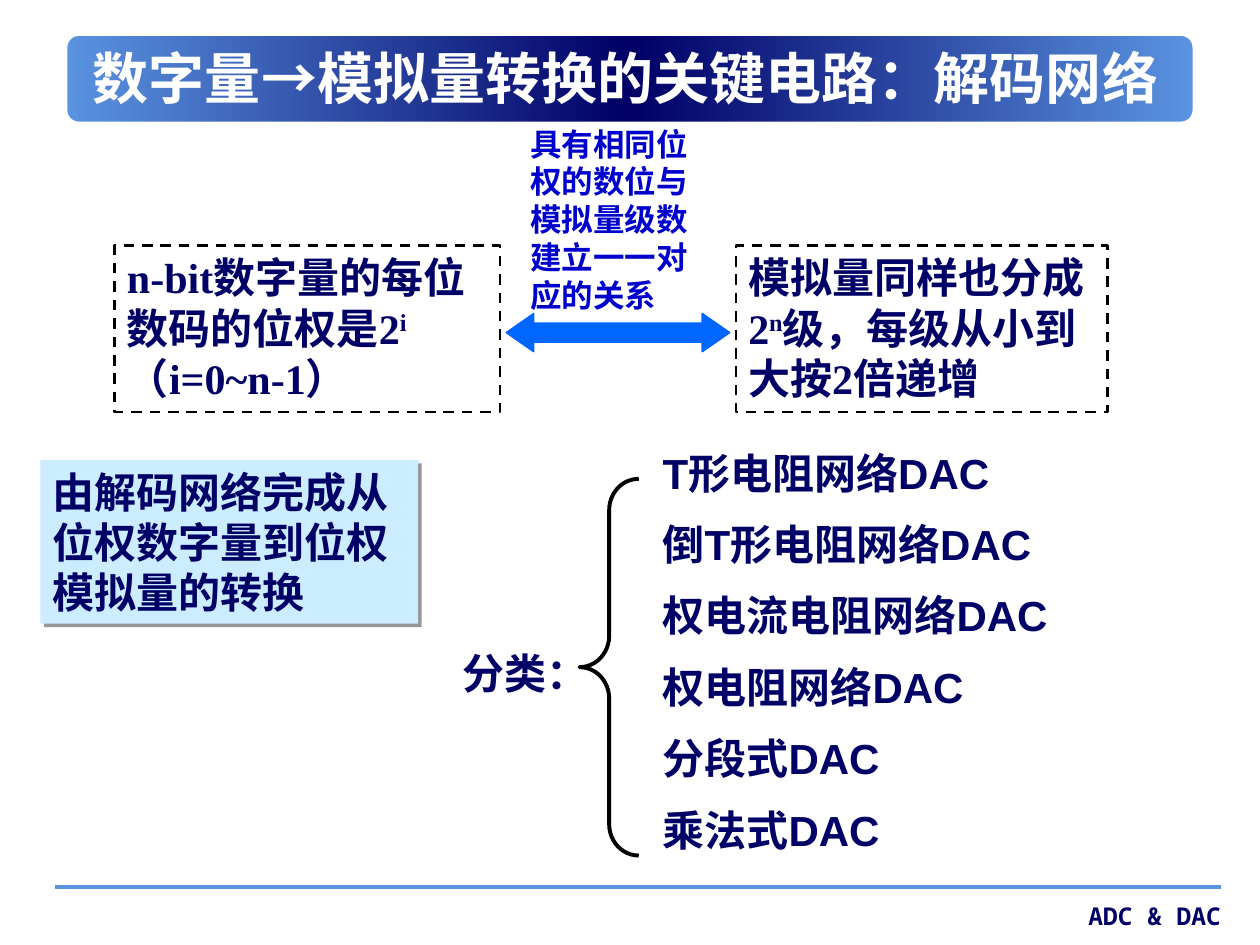
from pptx import Presentation
from pptx.dml.color import RGBColor as RGB
from pptx.enum.dml import MSO_LINE
from pptx.enum.shapes import MSO_CONNECTOR, MSO_SHAPE as SHAPE
from pptx.enum.text import MSO_ANCHOR as ANCHOR, PP_ALIGN as ALIGN
from pptx.oxml import parse_xml
from pptx.oxml.ns import nsdecls, qn
from pptx.util import Inches, Pt
from lxml.etree import SubElement

THEME = {
    "navy": RGB.from_string("000066"), "sky": RGB.from_string("5B94E1"),
    "pale": RGB.from_string("CCECFF"), "arrow": RGB.from_string("0066FF"),
    "black": RGB.from_string("000000"), "white": RGB.from_string("FFFFFF"),
    "link": RGB.from_string("0000CC"),
    # role: (size, Latin font, East Asian font, colour)
    "title": (32, "DejaVu Sans", "DejaVu Sans", "white"),
    "body": (24, "Times New Roman", "DejaVu Sans", "navy"),
    "list": (24, "Arial", "DejaVu Sans", "navy"),
    "relation": (18, "Times New Roman", "DejaVu Sans", "link"),
    "footer": (14, "Noto Sans Mono", "DejaVu Sans", "navy"),
}

deck = Presentation()
deck.slide_width, deck.slide_height = Inches(10), Inches(7.5)
COL, ROW = deck.slide_width / 100, deck.slide_height / 75
slide = deck.slides.add_slide(deck.slide_layouts[5])
shapes = slide.shapes


def grid(left, top, width, height):
    return [round(n * unit) for n, unit in zip((left, top, width, height), (COL, ROW) * 2)]


def write(part, paragraphs, role, align=ALIGN.LEFT, anchor=ANCHOR.TOP, wrap=True, raised=True):
    """Fill a shape with text; pieces between ^ marks are raised or set in the CJK font."""
    size, latin, asian, colour = THEME[role]
    frame = part.text_frame
    layout = {"word_wrap": wrap, "vertical_anchor": anchor,
              "margin_left": Inches(0.1), "margin_right": Inches(0.1),
              "margin_top": Inches(0.05), "margin_bottom": Inches(0.05)}
    for key, value in layout.items():
        setattr(frame, key, value)
    for row, text in enumerate(paragraphs):
        paragraph = frame.add_paragraph() if row else frame.paragraphs[0]
        paragraph.alignment = align
        paragraph.space_before = Pt(size / 2 if row else 0)
        for number, piece in enumerate(text.split("^")):
            run = paragraph.add_run()
            run.text = piece
            marked = number % 2 == 1
            special = "Noto Sans CJK SC" if marked and not raised else None
            for key, value in {"size": Pt(size), "bold": True, "name": special or latin}.items():
                setattr(run.font, key, value)
            run.font.color.rgb = THEME[colour]
            properties = run._r.get_or_add_rPr()
            SubElement(properties, qn("a:ea"), typeface=special or asian)
            if marked and raised:
                properties.set("baseline", "30000")


# Title banner
banner = shapes.add_shape(SHAPE.ROUNDED_RECTANGLE, *grid(5, 2.5, 90, 7.5))
banner.shadow.inherit = False
banner.adjustments[0] = 0.167
banner.line.color.rgb, banner.line.width = THEME["white"], Pt(5)
banner.fill.background()
stops = "".join(f'<a:gs pos="{share * 1000}"><a:srgbClr val="{THEME[colour]}"/></a:gs>'
                for share, colour in ((0, "sky"), (50, "navy"), (100, "sky")))
gradient = parse_xml(f'<a:gradFill {nsdecls("a")} rotWithShape="1"><a:gsLst>{stops}</a:gsLst>'
                     '<a:lin ang="0" scaled="1"/></a:gradFill>')
no_fill = banner._element.spPr.find(qn("a:noFill"))
banner._element.spPr.replace(no_fill, gradient)

title = shapes.title
title.left, title.top, title.width, title.height = grid(5.9, 2.8, 87.5, 6.7)
write(title, ["数字量^→模拟量转换的关键电路：^解码网络"], "title",
      ALIGN.CENTER, ANCHOR.MIDDLE, raised=False)
banner._element.addnext(title._element)

# Footer rule and label
left, top, width, _ = grid(4.4, 70.4, 92.5, 0)
rule = shapes.add_connector(MSO_CONNECTOR.STRAIGHT, left, top, left + width, top)
rule.line.color.rgb, rule.line.width = THEME["sky"], Pt(2)
SubElement(rule._element.spPr, qn("a:effectLst"))
footer = shapes.add_textbox(*grid(74.2, 71, 23.7, 3.3))
write(footer, ["ADC & DAC"], "footer", ALIGN.RIGHT)

# Conclusion card with a hard shadow
conclusion = shapes.add_shape(SHAPE.RECTANGLE, *grid(3.2, 36.5, 30, 13))
conclusion.fill.solid()
conclusion.fill.fore_color.rgb = THEME["pale"]
conclusion.line.fill.background()
conclusion._element.spPr.append(parse_xml(
    f'<a:effectLst {nsdecls("a")}><a:outerShdw dist="35560" dir="2700000" algn="ctr" '
    'rotWithShape="0"><a:srgbClr val="969696"/></a:outerShdw></a:effectLst>'))
write(conclusion, ["由解码网络完成从位权数字量到位权模拟量的转换"], "body")

# DAC types and their brace
dac_types = shapes.add_textbox(*grid(51.6, 35, 41.8, 34.9))
write(dac_types, ["T形电阻网络DAC", "倒T形电阻网络DAC", "权电流电阻网络DAC",
                  "权电阻网络DAC", "分段式DAC", "乘法式DAC"], "list")
brace = shapes.add_shape(SHAPE.LEFT_BRACE, *grid(46, 38, 4.7, 29.9))
brace.adjustments[0], brace.adjustments[1] = 0.528, 0.5
brace.shadow.inherit = False
brace.fill.background()
brace.line.color.rgb, brace.line.width = THEME["black"], Pt(2.25)
category = shapes.add_textbox(*grid(35.7, 50.9, 12.1, 5))
write(category, ["分类："], "body", wrap=False)

# Digital and analog sides
for left, width, statement in ((9.1, 30.6, "n-bit数字量的每位数码的位权是2^i^（i=0~n-1）"),
                               (58.4, 29.5, "模拟量同样也分成2^n^级，每级从小到大按2倍递增")):
    side = shapes.add_shape(SHAPE.RECTANGLE, *grid(left, 19.5, width, 13.2))
    side.shadow.inherit = False
    side.fill.background()
    side.line.color.rgb = THEME["black"]
    for key, value in {"width": Pt(1.5), "dash_style": MSO_LINE.DASH}.items():
        setattr(side.line, key, value)
    write(side, [statement], "body")

# Correspondence between the two sides
link = shapes.add_shape(SHAPE.LEFT_RIGHT_ARROW, *grid(40.2, 24.9, 17.7, 3))
link.adjustments[0], link.adjustments[1] = 0.494, 0.718
link.shadow.inherit = False
link.fill.solid()
link.fill.fore_color.rgb = link.line.color.rgb = THEME["arrow"]
link.line.width = Pt(1)
relation = shapes.add_textbox(*grid(41.1, 9.4, 16.2, 16))
write(relation, ["具有相同位权的数位与模拟量级数建立一一对应的关系"], "relation")

deck.save("out.pptx")
